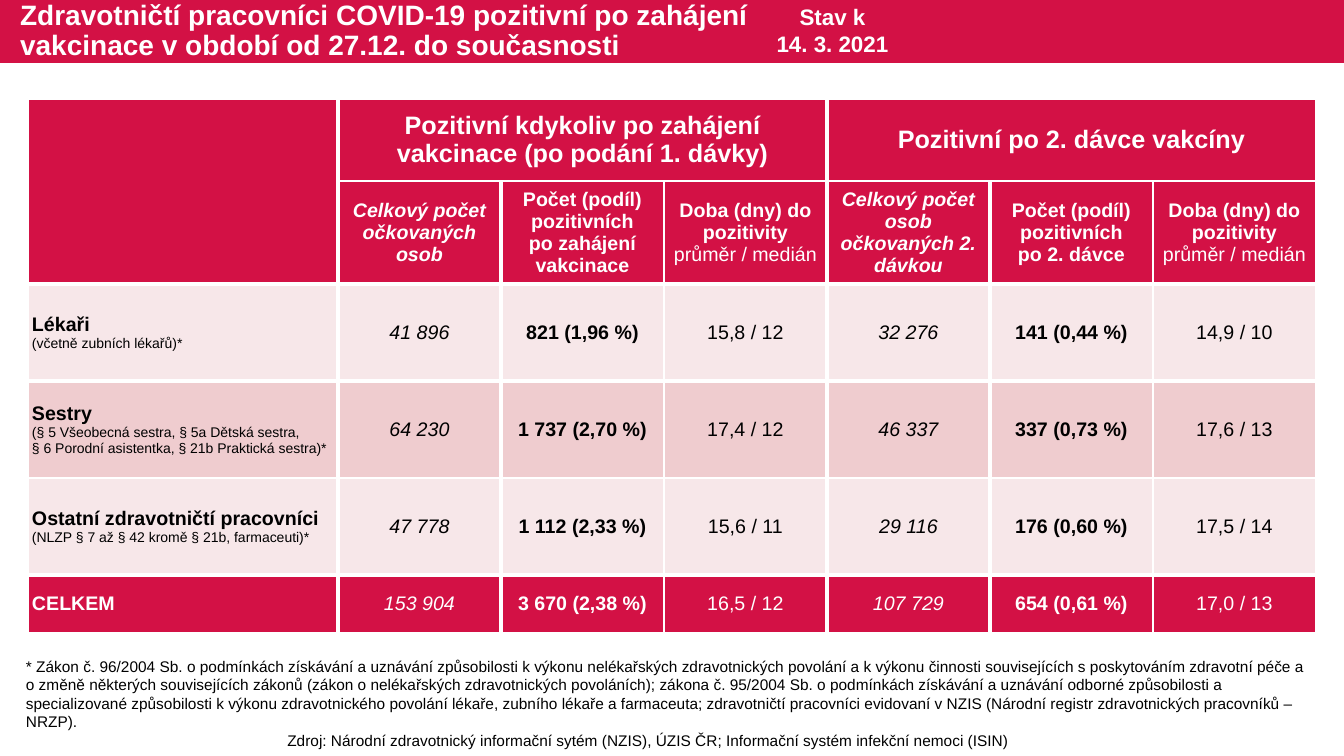
from lxml import etree
from pptx import Presentation
from pptx.dml.color import RGBColor
from pptx.enum.shapes import MSO_SHAPE
from pptx.enum.text import MSO_ANCHOR, MSO_AUTO_SIZE, PP_ALIGN
from pptx.oxml.ns import qn
from pptx.util import Pt

LEFT, CENTER = PP_ALIGN.LEFT, PP_ALIGN.CENTER
MIDDLE, TOP = MSO_ANCHOR.MIDDLE, MSO_ANCHOR.TOP
NO_AUTOFIT = MSO_AUTO_SIZE.NONE
RECTANGLE = MSO_SHAPE.RECTANGLE
COLOURS = {"red": "D31145", "light": "F7E7E9", "pink": "EFCCCF",
           "white": "FFFFFF", "black": "000000"}
PX = 12192000 / 1344


def px(*lengths):
    return [round(length * PX) for length in lengths]


def write(frame, lines, size=14, colour="black", bold=False, italic=False,
          align=CENTER, anchor=MIDDLE, spacing=None):
    """Fill a text frame; a line is a text or a (text, overriding format) pair."""
    frame.word_wrap = True
    frame.vertical_anchor = anchor
    for index, line in enumerate(lines):
        text, changes = (line, {}) if isinstance(line, str) else line
        para = frame.paragraphs[0] if index == 0 else frame.add_paragraph()
        para.text = text
        para.alignment = align
        if spacing:
            para.line_spacing = spacing
        for span in para.runs:
            span.font.name = "Arial"
            span.font.size = Pt(changes.get("size", size))
            span.font.bold = changes.get("bold", bold)
            span.font.italic = italic
            span.font.color.rgb = RGBColor.from_string(COLOURS[colour])


deck = Presentation()
deck.slide_width, deck.slide_height = px(1344, 756)
page = deck.slides.add_slide(deck.slide_layouts[5])

# Title band
title = page.shapes.title
title.left, title.top, title.width, title.height = px(10, 0, 820, 63)
title.text_frame.auto_size = NO_AUTOFIT
write(title.text_frame,
      ["Zdravotničtí pracovníci COVID-19 pozitivní po zahájení \n"
       "vakcinace v období od 27.12. do současnosti"],
      size=20, colour="white", bold=True, align=LEFT, spacing=0.9)
band = page.shapes.add_shape(RECTANGLE, *px(0, 0, 1344, 63))
band.shadow.inherit = False
band.fill.solid()
band.fill.fore_color.rgb = RGBColor.from_string(COLOURS["red"])
band.line.fill.background()
title.element.addprevious(band.element)

# Table contents
small = {"size": 10, "bold": False}
plain = {"bold": False}
time_heading = ["Doba (dny) do pozitivity", ("průměr / medián", plain)]
group_headings = {1: "Pozitivní kdykoliv po zahájení vakcinace (po podání 1. dávky)",
                  4: "Pozitivní po 2. dávce vakcíny"}
column_headings = [
    ["Celkový počet očkovaných osob"],
    ["Počet (podíl) pozitivních", "po zahájení vakcinace"],
    time_heading,
    ["Celkový počet osob očkovaných 2. dávkou"],
    ["Počet (podíl) pozitivních", "po 2. dávce"],
    time_heading,
]
body_rows = [
    ("light", ["Lékaři", ("(včetně zubních lékařů)*", small)],
     ["41 896", "821 (1,96 %)", "15,8 / 12", "32 276", "141 (0,44 %)", "14,9 / 10"]),
    ("pink", ["Sestry", ("(§ 5 Všeobecná sestra, § 5a Dětská sestra,", small),
              ("§ 6 Porodní asistentka, § 21b Praktická sestra)*", small)],
     ["64 230", "1 737 (2,70 %)", "17,4 / 12", "46 337", "337 (0,73 %)", "17,6 / 13"]),
    ("light", ["Ostatní zdravotničtí pracovníci",
               ("(NLZP § 7 až § 42 kromě § 21b, farmaceuti)*", small)],
     ["47 778", "1 112 (2,33 %)", "15,6 / 11", "29 116", "176 (0,60 %)", "17,5 / 14"]),
    ("red", ["CELKEM"],
     ["153 904", "3 670 (2,38 %)", "16,5 / 12", "107 729", "654 (0,61 %)", "17,0 / 13"]),
]
row_fills = ["red", "red"] + [fill for fill, _, _ in body_rows]
thick_columns, thick_rows = {1, 2, 4, 5}, {2, 3, 5}

# Table grid, borders and fills
table = page.shapes.add_table(6, 7, *px(28, 99, 1288, 534)).table
for column, width in zip(table.columns, px(310, *[163] * 6)):
    column.width = width
for row, height in zip(table.rows, px(82, 103, 97, 97, 97, 58)):
    row.height = height
for first in group_headings:
    table.cell(0, first).merge(table.cell(0, first + 2))

for r, fill in enumerate(row_fills):
    for c in range(7):
        cell = table.cell(r, c)
        cell.margin_left = cell.margin_right = px(4 if c == 0 or r < 2 else 1)[0]
        cell.margin_top = cell.margin_bottom = 0
        if not cell.is_spanned:
            right = c + (cell.span_width if cell.is_merge_origin else 1)
            edges = [("L", c, thick_columns), ("R", right, thick_columns),
                     ("T", r, thick_rows), ("B", r + 1, thick_rows)]
            properties = cell._tc.get_or_add_tcPr()
            for side, edge, thick in edges:
                line = etree.SubElement(properties, qn(f"a:ln{side}"),
                                        w=str(Pt(3 if edge in thick else 1)))
                if c == 0 and (r, side) in [(0, "B"), (1, "T")]:
                    etree.SubElement(line, qn("a:noFill"))
                else:
                    paint = etree.SubElement(line, qn("a:solidFill"))
                    etree.SubElement(paint, qn("a:srgbClr"), val=COLOURS["white"])
        cell.fill.solid()
        cell.fill.fore_color.rgb = RGBColor.from_string(COLOURS[fill])
        cell.vertical_anchor = MIDDLE

# Table text
for c, heading in group_headings.items():
    write(table.cell(0, c).text_frame, [heading], size=18, colour="white", bold=True)
for c, heading in enumerate(column_headings, 1):
    write(table.cell(1, c).text_frame, heading, colour="white", bold=True,
          italic=c % 3 == 1)
for r, (fill, label, values) in enumerate(body_rows, 2):
    colour = "white" if fill == "red" else "black"
    write(table.cell(r, 0).text_frame, label, colour=colour, bold=True, align=LEFT)
    for c, value in enumerate(values, 1):
        write(table.cell(r, c).text_frame, [value], colour=colour,
              bold=c % 3 == 2, italic=c % 3 == 1)

# Date, footnote and source
footnote = (
    "* Zákon č. 96/2004 Sb. o podmínkách získávání a uznávání způsobilosti k výkonu "
    "nelékařských zdravotnických povolání a k výkonu činnosti souvisejících s poskytováním "
    "zdravotní péče a o změně některých souvisejících zákonů (zákon o nelékařských "
    "zdravotnických povoláních); zákona č. 95/2004 Sb. o podmínkách získávání a uznávání "
    "odborné způsobilosti a specializované způsobilosti k výkonu zdravotnického povolání "
    "lékaře, zubního lékaře a farmaceuta; zdravotničtí pracovníci evidovaní v NZIS "
    "(Národní registr zdravotnických pracovníků – NRZP).")
source = ("Zdroj: Národní zdravotnický informační sytém (NZIS), ÚZIS ČR; "
          "Informační systém infekční nemoci (ISIN)")
text_boxes = [
    ((192, 726, 913, 29), [source], {"size": 11}),
    ((16, 652, 1312, 67), [footnote], {"size": 11, "align": LEFT}),
    ((764, -2, 137, 65), ["Stav k", "14. 3. 2021"],
     {"size": 16, "colour": "white", "bold": True}),
]
for place, lines, style in text_boxes:
    box = page.shapes.add_textbox(*px(*place))
    write(box.text_frame, lines, anchor=TOP, **style)

deck.save("out.pptx")
